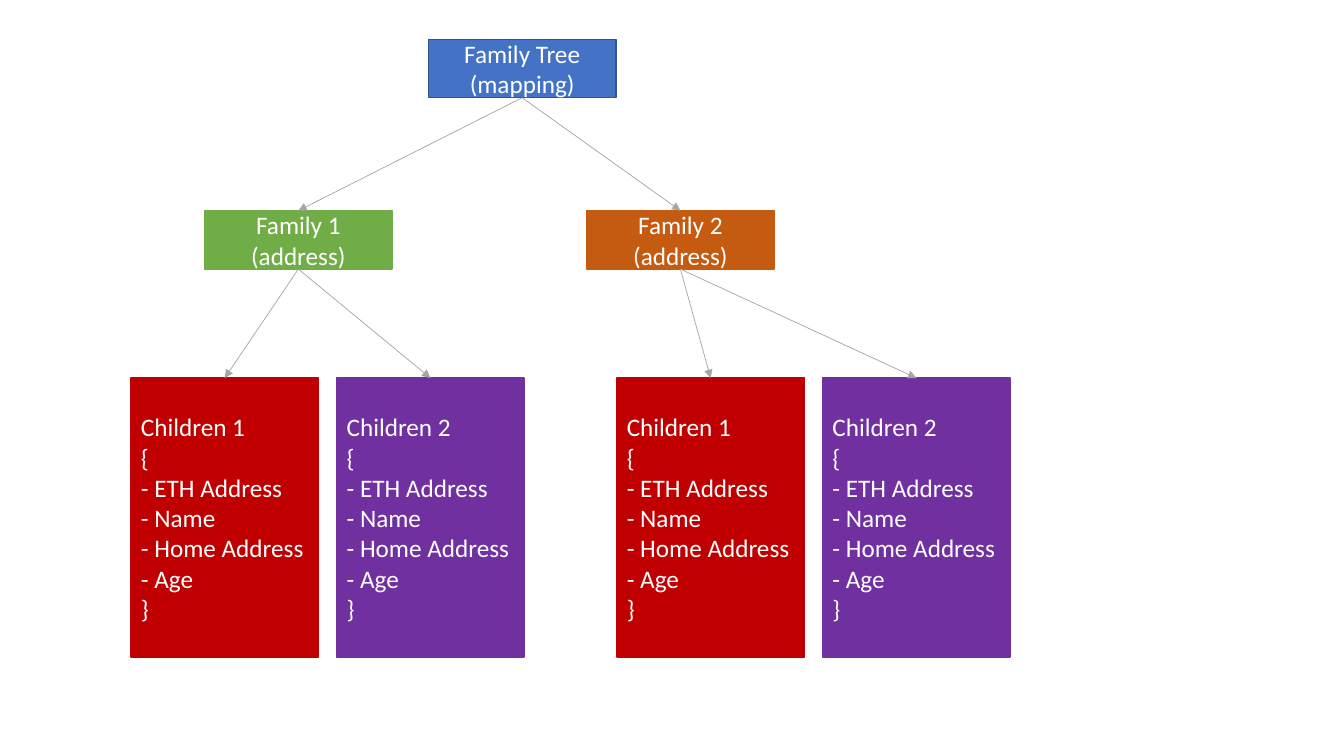
import pptx
import pptx.util
import pptx.dml.color
import pptx.enum.shapes
import pptx.enum.text
import pptx.oxml

HUES = {"root": "4472C4", "edge": "325491", "green": "70AD47", "rust": "C55A11",
        "red": "C00000", "plum": "7030A0", "link": "A5A5A5", "text": "FFFFFF"}
FONT = "Calibri"
ALIGN = pptx.enum.text.PP_ALIGN
COLS, ROWS = 133.33, 75  # slide grid
NODE_W, NODE_H = 18.6, 5.8
CARD_H, CARD_STEP = 27.7, 20.4
FIELDS = ["{\n- ETH Address", "- Name", "- Home Address", "- Age", "}"]

deck = pptx.Presentation()
deck.slide_width = pptx.util.Inches(13.33)
deck.slide_height = pptx.util.Inches(7.5)
slide = deck.slides.add_slide(deck.slide_layouts[6])


def col(n):
    return round(deck.slide_width * n / COLS)


def row(n):
    return round(deck.slide_height * n / ROWS)


def hue(name):
    return pptx.dml.color.RGBColor.from_string(HUES[name])


def write(frame, lines, size=18, color="text", align=ALIGN.CENTER):
    frame.word_wrap = True
    frame.vertical_anchor = pptx.enum.text.MSO_ANCHOR.MIDDLE
    for i, line in enumerate(lines):
        para = frame.paragraphs[0] if i == 0 else frame.add_paragraph()
        para.text = line
        para.alignment = align
        for run in para.runs:
            run.font.name = FONT
            run.font.size = pptx.util.Pt(size)
            run.font.color.rgb = hue(color)


def node(box, lines, fill, edge=None, **style):
    x, y, w, h = box
    shape = slide.shapes.add_shape(pptx.enum.shapes.MSO_SHAPE.RECTANGLE,
                                   col(x), row(y), col(w), row(h))
    shape.shadow.inherit = False
    shape.fill.solid()
    shape.fill.fore_color.rgb = hue(fill)
    shape.line.color.rgb = hue(edge or fill)
    shape.line.width = pptx.util.Pt(1)
    write(shape.text_frame, lines, **style)
    return shape


def link(start, end):
    line = slide.shapes.add_connector(pptx.enum.shapes.MSO_CONNECTOR.STRAIGHT, 0, 0, 0, 0)
    line.begin_connect(start, 2)  # bottom middle
    line.end_connect(end, 0)      # top middle
    line.line.color.rgb = hue("link")
    line.line.width = pptx.util.Pt(0.5)
    space = 'xmlns:a="http://schemas.openxmlformats.org/drawingml/2006/main"'
    line.line._get_or_add_ln().append(
        pptx.oxml.parse_xml(f'<a:tailEnd {space} type="triangle"/>'))
    line._element.spPr.append(pptx.oxml.parse_xml(f'<a:effectLst {space}/>'))


def family(box, name, fill, shift):
    """Head at the top, shifted from the left; cards at the bottom right."""
    x, y, w, h = box
    head = node((x + shift, y, NODE_W, NODE_H), [f"{name}\n(address)"], fill)
    first = x + w - NODE_W - CARD_STEP
    for i, shade in enumerate(("red", "plum")):
        place = (first + i * CARD_STEP, y + h - CARD_H, NODE_W, CARD_H)
        card = node(place, [f"Children {i + 1}"] + FIELDS, shade, align=ALIGN.LEFT)
        link(head, card)
    return head


def tree(box):
    x, y, w, h = box
    # Root
    root = node((x + 29.5, y, NODE_W, NODE_H), ["Family Tree\n(mapping)"], "root", "edge")
    # Families
    top, tall = y + 17, h - 17
    link(root, family((x, top, 39, tall), "Family 1", "green", 7.3))
    link(root, family((x + w - 42, top, 42, tall), "Family 2", "rust", 0))


tree((13, 3.9, 87.2, 61.3))
deck.save("out.pptx")
